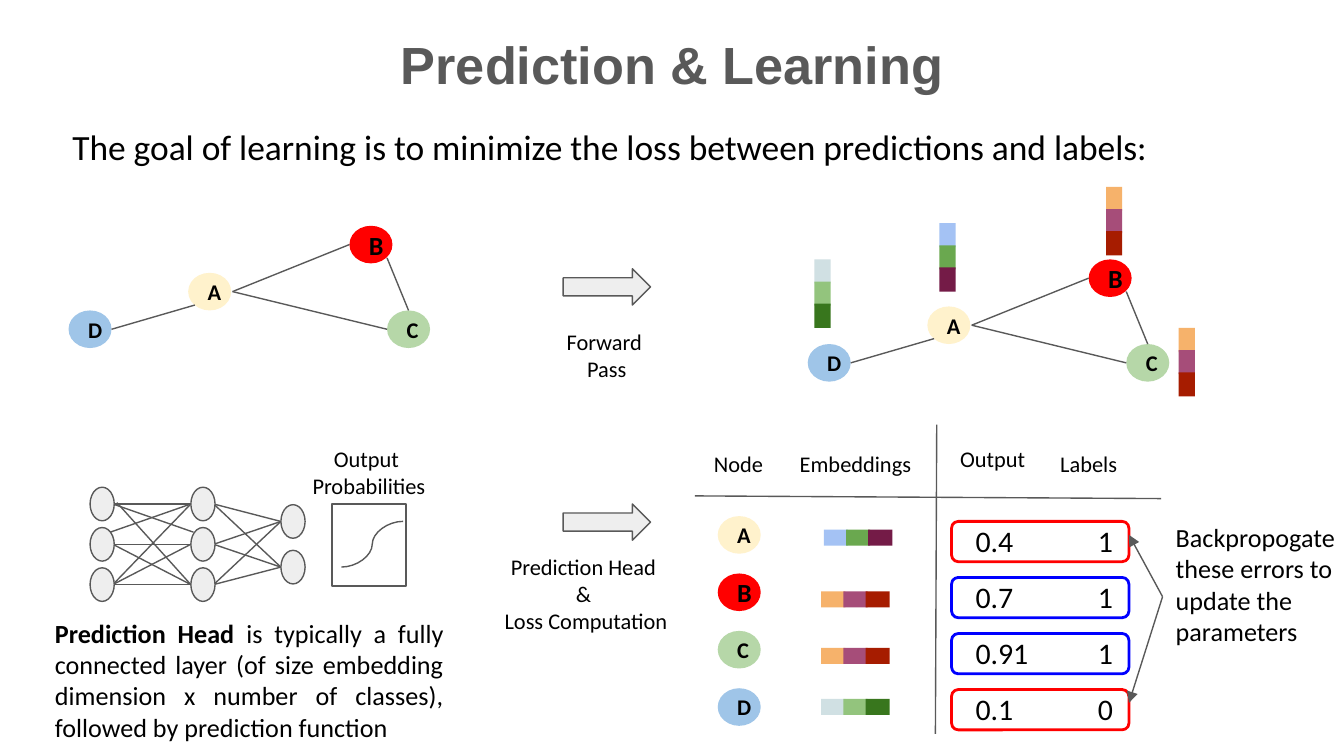
from lxml import etree
from pptx import Presentation
from pptx.dml.color import RGBColor
from pptx.enum.shapes import MSO_CONNECTOR, MSO_SHAPE
from pptx.enum.text import MSO_ANCHOR, PP_ALIGN
from pptx.oxml.ns import qn
from pptx.util import Inches, Pt

OVAL, RECT = MSO_SHAPE.OVAL, MSO_SHAPE.RECTANGLE
ROUND, ARROW = MSO_SHAPE.ROUNDED_RECTANGLE, MSO_SHAPE.RIGHT_ARROW
LINE, CURVE = MSO_CONNECTOR.STRAIGHT, MSO_CONNECTOR.CURVE
LEFT, MID, FULL = PP_ALIGN.LEFT, PP_ALIGN.CENTER, PP_ALIGN.JUSTIFY
TOP, CENTER = MSO_ANCHOR.TOP, MSO_ANCHOR.MIDDLE
GRAY, PALE, BLACK = "595959", "EEEEEE", "000000"

# Content
TITLE = "Prediction & Learning"
NODES = {  # fill, text size, place in the graph
    "A": ("FFF2CC", 12, (1.4, 2.03)),
    "B": ("FF0000", 14, (2.6, 1.68)),
    "C": ("B6D7A8", 12, (2.88, 2.31)),
    "D": ("9FC5E8", 12, (0.51, 2.31)),
}
EDGES = [
    (1.73, 2.17, 2.6, 1.82),
    (2.88, 1.92, 3.04, 2.31),
    (1.73, 2.17, 2.88, 2.45),
    (0.83, 2.45, 1.45, 2.27),
]
WARM = ["F6B26B", "A64D79", "A61C00"]
VECTORS = {  # colours, place of the stack, place of the row
    "A": (["A4C2F4", "6AA84F", "741B47"], (6.99, 1.66), (6.13, 3.94)),
    "B": (WARM, (8.23, 1.39), (6.11, 4.4)),
    "C": (WARM, (8.77, 2.44), (6.11, 4.82)),
    "D": (["D0E0E3", "93C47D", "38761D"], (6.06, 1.93), (6.11, 5.2)),
}
ROWS = [
    ("A", "0.4", "1", "FF0000"),
    ("B", "0.7", "1", "0000FF"),
    ("C", "0.91", "1", "0000FF"),
    ("D", "0.1", "0", "FF0000"),
]
TEXTS = [  # text, left, top, width, height, size, alignment, anchor
    ("The goal of learning is to minimize the loss between predictions and labels:",
     0.44, 0.83, 8.97, 0.72, 19, LEFT, TOP),
    ("Forward \nPass", 3.99, 2.34, 1.05, 0.27, 12, MID, TOP),
    ("Prediction Head \n& \nLoss Computation", 3.44, 4.28, 1.84, 0.27, 12, MID, CENTER),
    ("Node", 4.67, 3.25, 1.65, 0.38, 12, MID, TOP),
    ("Embeddings", 5.54, 3.25, 1.65, 0.38, 12, MID, TOP),
    ("Output ", 6.58, 3.21, 1.65, 0.38, 12, MID, TOP),
    ("Labels", 7.79, 3.25, 0.65, 0.38, 12, LEFT, TOP),
    ("Output \nProbabilities", 1.92, 3.21, 1.65, 0.38, 12, MID, TOP),
    ("Backpropogate these errors to update the parameters",
     8.65, 3.78, 1.44, 1.33, 14, LEFT, TOP),
]
HEAD = "Prediction Head "
NOTE = ("is typically a fully connected layer (of size embedding dimension "
        "x number of classes), followed by prediction function")
LAYERS = [  # left edge, centre heights
    (0.67, (3.75, 4.05, 4.35)),
    (1.42, (3.75, 4.05, 4.35)),
    (2.09, (3.88, 4.22)),
]
SHIFTED = {  # links that miss the middle of a cell's side
    (0.84, 3.75, 1.42, 4.05): (0.84, 3.75, 1.44, 3.96),
    (0.84, 3.75, 1.42, 4.35): (0.87, 3.74, 1.42, 4.35),
    (0.84, 4.05, 1.42, 3.75): (0.82, 3.96, 1.42, 3.75),
}

deck = Presentation()
deck.slide_width, deck.slide_height = Inches(10), Inches(10 * 9 / 16)
slide = deck.slides.add_slide(deck.slide_layouts[5])
parts = slide.shapes


def color(code):
    return RGBColor.from_string(code)


def style(font, size, bold=False, name="Calibri", ink=BLACK):
    font.name, font.size, font.bold = name, Pt(size), bold
    font.color.rgb = color(ink)


def inset(frame, side, edge, anchor):
    frame.word_wrap = True
    frame.margin_left = frame.margin_right = Inches(side)
    frame.margin_top = frame.margin_bottom = Inches(edge)
    frame.vertical_anchor = anchor


def write(frame, text, size, align, anchor, bold=False):
    inset(frame, 0.1, 0.1, anchor)
    frame.text = text
    for para in frame.paragraphs:
        para.alignment = align
        for run in para.runs:
            style(run.font, size, bold)


def label(text, x, y, w, h, size, align=LEFT, anchor=TOP):
    box = parts.add_textbox(Inches(x), Inches(y), Inches(w), Inches(h))
    write(box.text_frame, text, size, align, anchor)
    return box


def draw(kind, x, y, w, h, fill=None, line=None, width=0.75):
    shape = parts.add_shape(kind, Inches(x), Inches(y), Inches(w), Inches(h))
    shape.shadow.inherit = False
    if fill:
        shape.fill.solid()
        shape.fill.fore_color.rgb = color(fill)
    else:
        shape.fill.background()
    if line:
        shape.line.color.rgb = color(line)
        shape.line.width = Pt(width)
    else:
        shape.line.fill.background()
    return shape


def link(x1, y1, x2, y2, kind=LINE, tip=False):
    wire = parts.add_connector(kind, Inches(x1), Inches(y1), Inches(x2), Inches(y2))
    wire.line.color.rgb = color(GRAY)
    wire.line.width = Pt(0.75)
    props = wire._element.spPr
    if tip:
        etree.SubElement(props.find(qn("a:ln")), qn("a:tailEnd"), type="triangle")
    etree.SubElement(props, qn("a:effectLst"))


def node(name, x, y):
    fill, size, _ = NODES[name]
    disc = draw(OVAL, x, y, 0.32, 0.28, fill)
    write(disc.text_frame, name, size, MID, CENTER, True)


def tiles(codes, x, y, w, h, dx, dy):
    for i, code in enumerate(codes):
        draw(RECT, x + i * dx, y + i * dy, w, h, code)


# Title
title = parts.title
title.left, title.top = Inches(0.5), Inches(0)
title.width, title.height = Inches(9), Inches(0.94)
inset(title.text_frame, 0.07, 0.04, CENTER)
title.text_frame.text = TITLE
title.text_frame.paragraphs[0].alignment = MID
style(title.text_frame.paragraphs[0].runs[0].font, 28, True, "Arial", GRAY)

# Graph before and after the forward pass
for dx, dy in [(0, 0), (5.5, 0.25)]:
    for name, (_, _, (x, y)) in NODES.items():
        node(name, x + dx, y + dy)
    for x1, y1, x2, y2 in EDGES:
        link(x1 + dx, y1 + dy, x2 + dx, y2 + dy)

# Embeddings beside the nodes and in the table
for codes, stack, row in VECTORS.values():
    tiles(codes, *stack, 0.12, 0.18, 0, 0.165)
    tiles(codes, *row, 0.18, 0.12, 0.165, 0)

# Step arrows
for y in (2, 3.75):
    draw(ARROW, 4.19, y, 0.65, 0.27, PALE, GRAY)

# Table rows and rules
for i, (name, output, truth, ring) in enumerate(ROWS):
    y = 3.88 + i * 0.417
    draw(ROUND, 7.08, y, 1.32, 0.3, line=ring, width=1.5)
    node(name, 5.34, 3.84 + i * 0.427)
    label(output, 7.16, y - 0.09, 0.88, 0.38, 16)
    label(truth, 8.07, y - 0.09, 0.32, 0.38, 16)
link(5.17, 3.69, 8.64, 3.71)
link(6.97, 3.16, 6.96, 5.46)

# Network: links between layers, then cells
for (x1, near), (x2, far) in zip(LAYERS, LAYERS[1:]):
    for y1 in near:
        for y2 in far:
            ends = (round(x1 + 0.17, 2), y1, x2, y2)
            link(*SHIFTED.get(ends, ends))
for x, heights in LAYERS:
    for y in heights:
        draw(OVAL, x, y - 0.125, 0.18, 0.25, PALE, GRAY)

# Sigmoid
draw(RECT, 2.47, 3.75, 0.55, 0.61, line=GRAY)
link(2.54, 4.22, 3, 3.88, CURVE)

# Errors sent back
for y in (3.98, 5.23):
    link(8.65, 4.44, 8.4, y, tip=True)

# Texts
for item in TEXTS:
    label(*item)
para = label(HEAD, 0.31, 4.49, 3.09, 0.62, 14, FULL).text_frame.paragraphs[0]
para.runs[0].font.bold = True
rest = para.add_run()
rest.text = NOTE
style(rest.font, 14)

deck.save("out.pptx")
